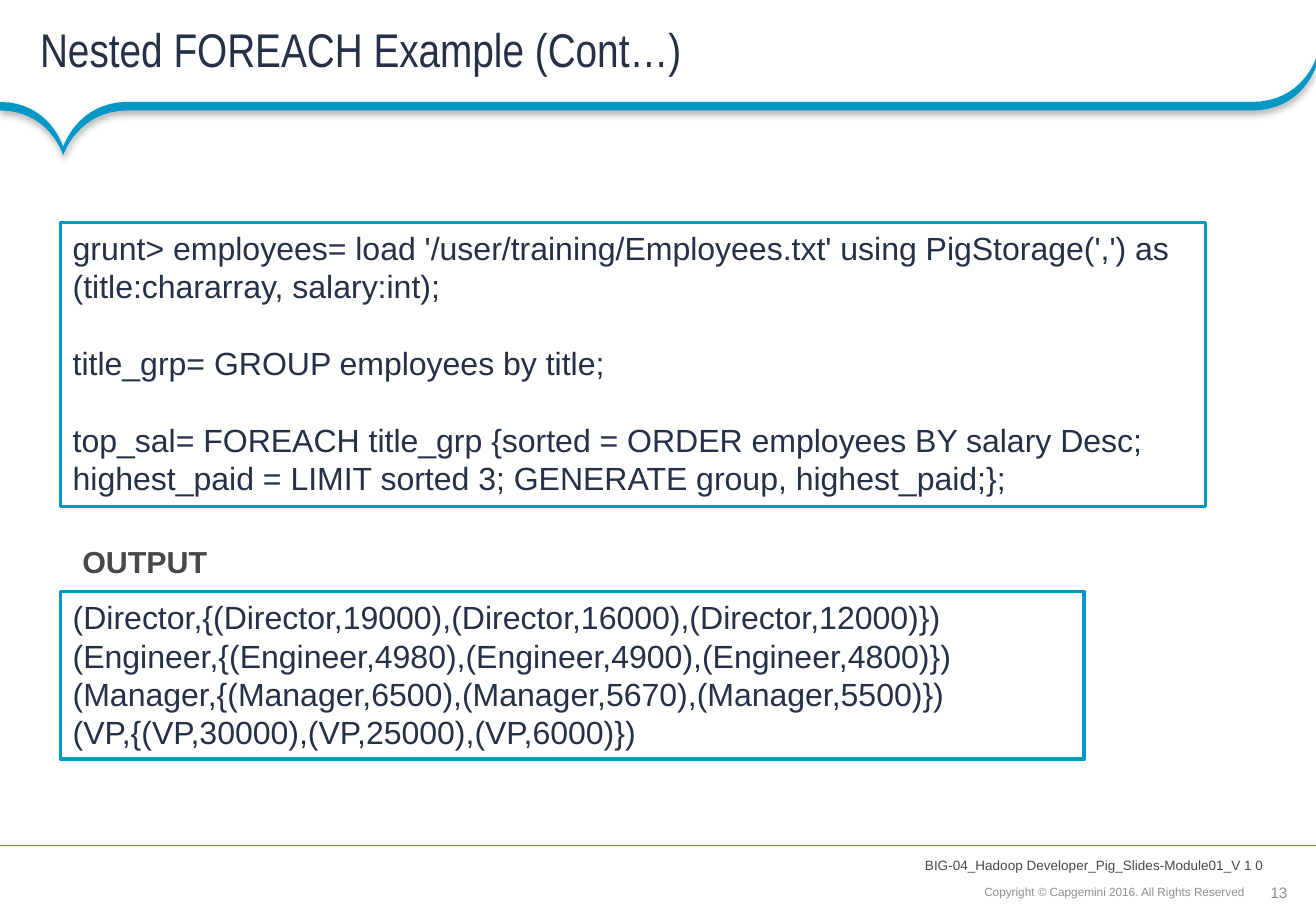
from lxml import etree
from pptx import Presentation, util as u
from pptx.dml.color import RGBColor
from pptx.enum import shapes, text
from pptx.oxml import parse_xml
from pptx.oxml.ns import nsdecls, qn

PX = 9144  # EMU per px, 100 px to the inch
COLORS = {"blue": "0098C7", "navy": "263147", "dark": "484848",
          "grey": "909090", "white": "FFFFFF"}
LEFT, CENTER, RIGHT = text.PP_ALIGN.LEFT, text.PP_ALIGN.CENTER, text.PP_ALIGN.RIGHT
TOP, MIDDLE, BOTTOM = (text.MSO_ANCHOR.TOP, text.MSO_ANCHOR.MIDDLE,
                       text.MSO_ANCHOR.BOTTOM)


def rgb(name):
    return RGBColor.from_string(COLORS[name])


def write(shape, lines, size, color, font="Arial", bold=False, align=LEFT, anchor=TOP,
          insets=(10, 5, 10, 5), wrap=True, spacing=None, gap=0):
    """Fill a shape with one paragraph per line; gap is the points between them."""
    frame = shape.text_frame
    frame.word_wrap = wrap
    frame.auto_size = text.MSO_AUTO_SIZE.NONE
    frame.vertical_anchor = anchor
    (frame.margin_left, frame.margin_top,
     frame.margin_right, frame.margin_bottom) = [inset * PX for inset in insets]
    for index, line in enumerate(lines):
        paragraph = frame.add_paragraph() if index else frame.paragraphs[0]
        paragraph.text = line
        paragraph.alignment = align
        paragraph.line_spacing = spacing
        paragraph.space_before = u.Pt(gap if index else 0)
        paragraph.font.name = font
        paragraph.font.size = u.Pt(size)
        paragraph.font.bold = bold
        paragraph.font.color.rgb = rgb(color)


presentation = Presentation()
presentation.slide_width, presentation.slide_height = 1083 * PX, 750 * PX
slide = presentation.slides.add_slide(presentation.slide_layouts[5])

# Banner: each segment is its two control points and its end; None marks a straight edge
BANNER_START = (1030, 84)
BANNER = [
    (None, None, (105, 84)),
    ((64, 84), (52, 121), (52, 121)),
    ((52, 121), (41, 84), (0, 84)),
    (None, None, (0, 91)),
    ((41, 91), (52, 128), (52, 128)),
    ((52, 128), (64, 91), (105, 91)),
    (None, None, (1030, 91)),
    ((1072, 91), (1083, 55), (1083, 55)),
    (None, None, (1083, 48)),
    ((1083, 48), (1072, 84), (1030, 84)),
]
STEPS = 16
outline = []
start = BANNER_START
for first, second, end in BANNER:
    if first is None:
        outline.append(end)
    else:
        for step in range(1, STEPS + 1):
            t = step / STEPS
            weights = ((1 - t) ** 3, 3 * t * (1 - t) ** 2, 3 * t ** 2 * (1 - t), t ** 3)
            corners = (start, first, second, end)
            outline.append(tuple(sum(w * corner[axis] for w, corner in zip(weights, corners))
                                 for axis in (0, 1)))
    start = end
builder = slide.shapes.build_freeform(BANNER_START[0] * PX, BANNER_START[1] * PX)
builder.add_line_segments([(x * PX, y * PX) for x, y in outline], close=True)
banner = builder.convert_to_shape()
banner.fill.solid()
banner.fill.fore_color.rgb = rgb("blue")
banner.line.fill.background()
banner.shadow.inherit = False
banner.element.spPr.find(qn("a:effectLst")).append(parse_xml(
    f'<a:outerShdw {nsdecls("a")} blurRad="50800" dist="25400" dir="5400000" rotWithShape="0">'
    '<a:srgbClr val="000000"><a:alpha val="31000"/></a:srgbClr></a:outerShdw>'))

# Title
title = slide.shapes.title
title.left, title.top, title.width, title.height = 0, 0, 1083 * PX, 88 * PX
write(title, ["Nested FOREACH Example (Cont…)"], 28, "navy", font="Arial Narrow",
      anchor=MIDDLE, insets=(33, 4, 18, 4), spacing=0.85)

# Footer
rule = slide.shapes.add_connector(shapes.MSO_CONNECTOR.STRAIGHT,
                                  1083 * PX, 696 * PX, 0, 696 * PX)
rule.line.color.rgb = rgb("blue")
rule.line.width = u.Pt(0.75)
etree.SubElement(rule.element.spPr, qn("a:effectLst"))

# Labels: text, box, format
LABELS = [
    ("13", (1045, 727, 15, 15),
     dict(size=9, color="grey", align=CENTER, anchor=MIDDLE, insets=(0, 0, 0, 0), wrap=False)),
    ("Copyright © Capgemini 2016. All Rights Reserved", (716, 724, 312, 20),
     dict(size=7, color="grey", align=RIGHT, anchor=BOTTOM, insets=(4, 4, 4, 4), spacing=0.9)),
    ("BIG-04_Hadoop Developer_Pig_Slides-Module01_V 1 0", (694, 703, 350, 20),
     dict(size=8, color="dark", align=RIGHT, anchor=BOTTOM, insets=(4, 4, 4, 4), wrap=False)),
    ("OUTPUT", (58, 442, 124, 40), dict(size=18, color="dark", bold=True, wrap=False)),
]
for label, box, style in LABELS:
    write(slide.shapes.add_textbox(*[length * PX for length in box]), [label], **style)

# Code and its output
LINE_HEIGHT = 22.8
SCRIPT = [
    "grunt> employees= load '/user/training/Employees.txt' using PigStorage(',') as "
    "(title:chararray, salary:int);",
    "title_grp= GROUP employees by title;",
    "top_sal= FOREACH title_grp {sorted = ORDER employees BY salary Desc; "
    "highest_paid = LIMIT sorted 3; GENERATE group, highest_paid;};",
]
OUTPUT = [
    "(Director,{(Director,19000),(Director,16000),(Director,12000)})",
    "(Engineer,{(Engineer,4980),(Engineer,4900),(Engineer,4800)})",
    "(Manager,{(Manager,6500),(Manager,5670),(Manager,5500)})",
    "(VP,{(VP,30000),(VP,25000),(VP,6000)})",
]
for lines, top, width, height, gap in [(SCRIPT, 183, 942, 234, LINE_HEIGHT),
                                       (OUTPUT, 487, 842, 138, 0)]:
    panel = slide.shapes.add_shape(shapes.MSO_SHAPE.RECTANGLE,
                                   50 * PX, top * PX, width * PX, height * PX)
    panel.shadow.inherit = False
    panel.fill.solid()
    panel.fill.fore_color.rgb = rgb("white")
    panel.line.color.rgb = rgb("blue")
    panel.line.width = u.Pt(2)
    write(panel, lines, 19, "navy", spacing=u.Pt(LINE_HEIGHT), gap=gap)

presentation.save("out.pptx")
